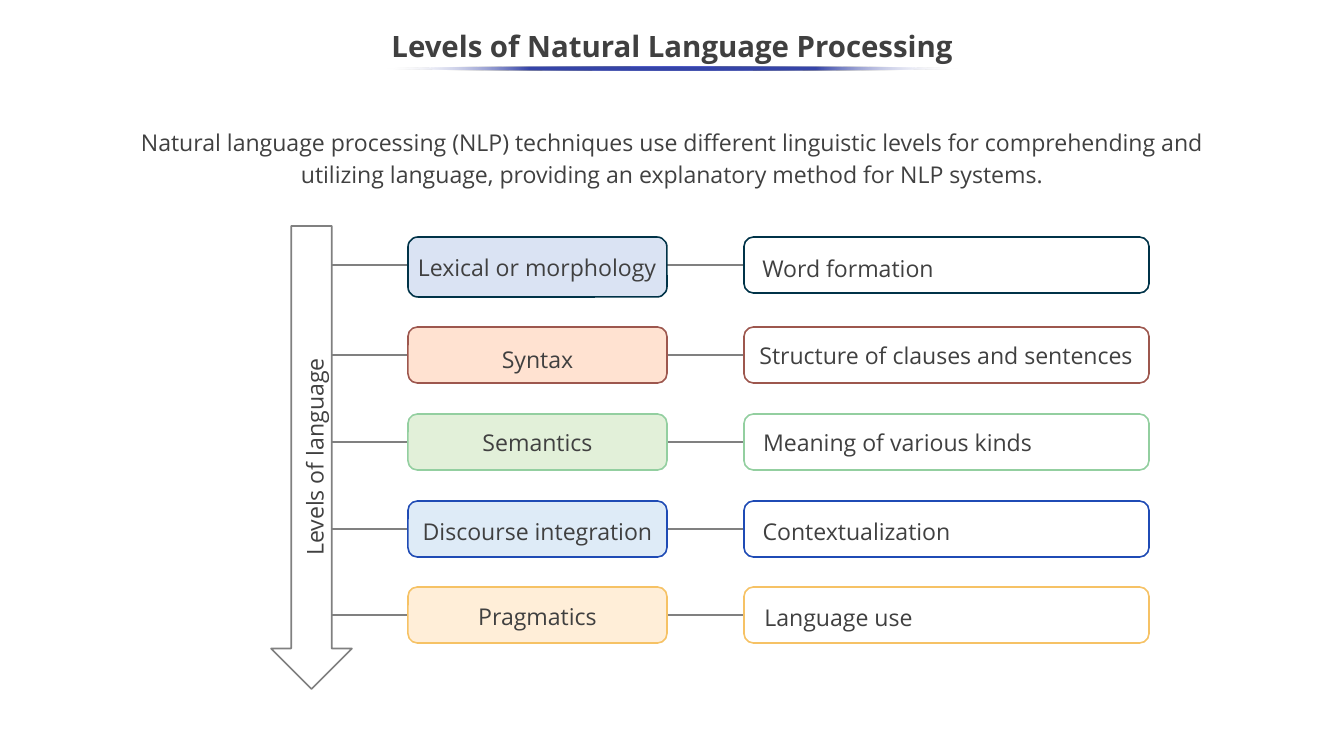
from lxml.etree import SubElement
from pptx import Presentation
from pptx.dml.color import RGBColor
from pptx.enum.shapes import MSO_CONNECTOR, MSO_SHAPE
from pptx.enum.text import MSO_ANCHOR, MSO_AUTO_SIZE, PP_ALIGN
from pptx.oxml.ns import qn
from pptx.util import Emu, Pt

EMU_PER_PX = 914400 / 75.6
SLIDE_WIDTH, SLIDE_HEIGHT = 1344, 756


def px(length):
    return Emu(round(length * EMU_PER_PX))


def color(hex_code):
    return RGBColor.from_string(hex_code)


class LevelsSlide:
    font = "Open Sans"
    ink = "404040"
    rule = "808080"
    line_width = 1.5
    text_size = 22
    line_spacing = 1.14

    def __init__(self, deck):
        self.slide = deck.slides.add_slide(deck.slide_layouts[6])

    def shape(self, kind, left, top, width, height, fill=None, line=None):
        shape = self.slide.shapes.add_shape(kind, px(left), px(top), px(width), px(height))
        shape.shadow.inherit = False
        if fill:
            shape.fill.solid()
            shape.fill.fore_color.rgb = color(fill)
        else:
            shape.fill.background()
        if line:
            shape.line.color.rgb = color(line)
            shape.line.width = Pt(self.line_width)
        else:
            shape.line.fill.background()
        return shape

    def glow_rule(self, left, top, width, height, tint):
        """Thin ellipse that fades out to transparent white at both ends."""
        ellipse = self.shape(MSO_SHAPE.OVAL, left, top, width, height)
        ellipse.fill.gradient()
        ellipse.fill.gradient_angle = 0
        stops = ellipse._element.spPr.find(qn("a:gradFill")).find(qn("a:gsLst"))
        for stop in list(stops):
            stops.remove(stop)
        for percent in (0, 25, 50, 75, 100):
            at_end = percent in (0, 100)
            stop = SubElement(stops, qn("a:gs"), pos=str(percent * 1000))
            tone = SubElement(stop, qn("a:srgbClr"), val="FFFFFF" if at_end else tint)
            if at_end:
                SubElement(tone, qn("a:alpha"), val="0")

    def link(self, start, end, y):
        connector = self.slide.shapes.add_connector(
            MSO_CONNECTOR.STRAIGHT, px(start), px(y), px(end), px(y))
        connector.line.color.rgb = color(self.rule)
        connector.line.width = Pt(self.line_width)
        SubElement(connector._element.spPr, qn("a:effectLst"))

    def text(self, words, left, top, width, height=38, size=text_size, bold=False,
             spacing=line_spacing, anchor=MSO_ANCHOR.TOP, inset=4, grow=False, upward=False):
        box = self.slide.shapes.add_textbox(px(left), px(top), px(width), px(height))
        frame = box.text_frame
        frame.word_wrap = True
        frame.auto_size = MSO_AUTO_SIZE.SHAPE_TO_FIT_TEXT if grow else MSO_AUTO_SIZE.NONE
        frame.vertical_anchor = anchor
        frame.margin_top = frame.margin_bottom = px(inset)
        if upward:
            frame._txBody.bodyPr.set("vert", "vert270")
        paragraph = frame.paragraphs[0]
        paragraph.alignment = PP_ALIGN.CENTER
        paragraph.line_spacing = spacing
        run = paragraph.add_run()
        run.text = words
        run.font.name = self.font
        run.font.size = Pt(size)
        run.font.bold = bold
        run.font.color.rgb = color(self.ink)


ARROW_EDGE = 332
LEVEL_LEFT, LEVEL_WIDTH = 408, 259
MEANING_LEFT, MEANING_WIDTH = 744, 405
BOX_HEIGHT = 56

# top, level height, fill, outline,
# (level, text top, text width), (meaning, text left, text top, text width)
LEVELS = [
    (237, 60, "DAE3F3", "003348", ("Lexical or morphology", 246, 262),
     ("Word formation", 739, 247, 218)),
    (327, 56, "FFE2D1", "9D574E", ("Syntax", 338, 169),
     ("Structure of clauses and sentences", 744, 334, 404)),
    (414, 56, "E2F0D9", "93CFA0", ("Semantics", 421, 169),
     ("Meaning of various kinds", 754, 421, 287)),
    (501, 56, "DEEBF7", "1F4BB5", ("Discourse integration", 510, 263),
     ("Contextualization", 723, 510, 267)),
    (587, 56, "FFEED8", "F6C265", ("Pragmatics", 595, 169),
     ("Language use", 754, 596, 169)),
]


def main():
    deck = Presentation()
    deck.slide_width, deck.slide_height = px(SLIDE_WIDTH), px(SLIDE_HEIGHT)
    page = LevelsSlide(deck)

    page.text("Levels of Natural Language Processing", 0, 19, SLIDE_WIDTH, 57,
              size=28, bold=True, spacing=0.9, anchor=MSO_ANCHOR.MIDDLE)
    page.glow_rule(387, 67, 571, 3, "3645A9")
    page.text("Natural language processing (NLP) techniques use different linguistic levels "
              "for comprehending and utilizing language, providing an explanatory method "
              "for NLP systems.", 106, 125, 1132, 75, inset=0)

    for top, level_height, fill, outline, level, meaning in LEVELS:
        link_y = top + BOX_HEIGHT // 2
        page.link(ARROW_EDGE, LEVEL_LEFT, link_y)
        page.link(LEVEL_LEFT + LEVEL_WIDTH, MEANING_LEFT, link_y)
        page.shape(MSO_SHAPE.ROUNDED_RECTANGLE, LEVEL_LEFT, top,
                   LEVEL_WIDTH, level_height, fill, outline)
        page.shape(MSO_SHAPE.ROUNDED_RECTANGLE, MEANING_LEFT, top,
                   MEANING_WIDTH, BOX_HEIGHT, line=outline)
        level_name, level_top, level_width = level
        level_left = LEVEL_LEFT + (LEVEL_WIDTH - level_width) // 2
        page.text(level_name, level_left, level_top, level_width, grow=True)
        meaning_name, meaning_left, meaning_top, meaning_width = meaning
        page.text(meaning_name, meaning_left, meaning_top, meaning_width, grow=True)

    page.text("Levels of language", 290, 235, 45, 444,
              anchor=MSO_ANCHOR.MIDDLE, upward=True)
    page.shape(MSO_SHAPE.DOWN_ARROW, 271, 226, 81, 463, line=page.rule)
    deck.save("out.pptx")


if __name__ == "__main__":
    main()
